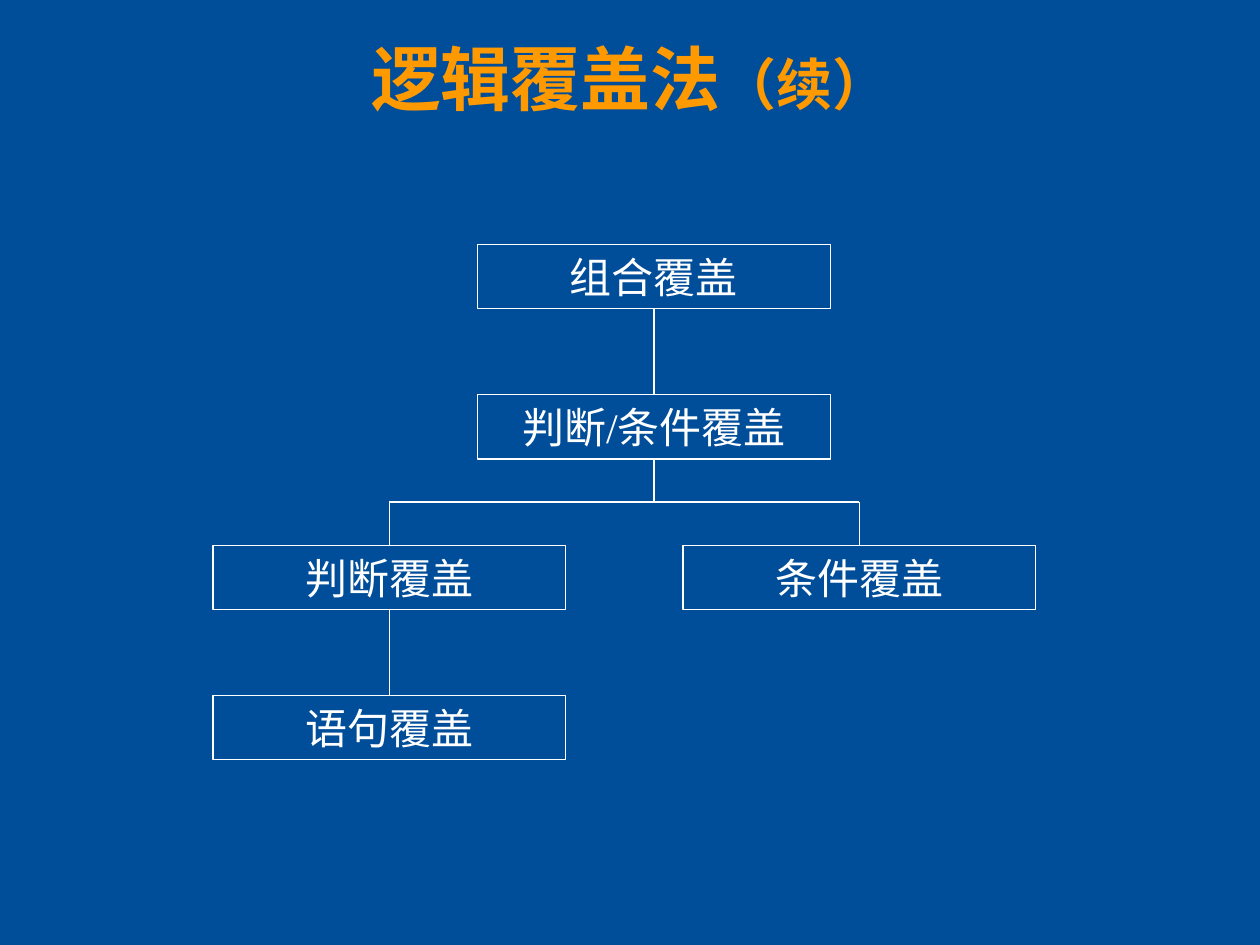
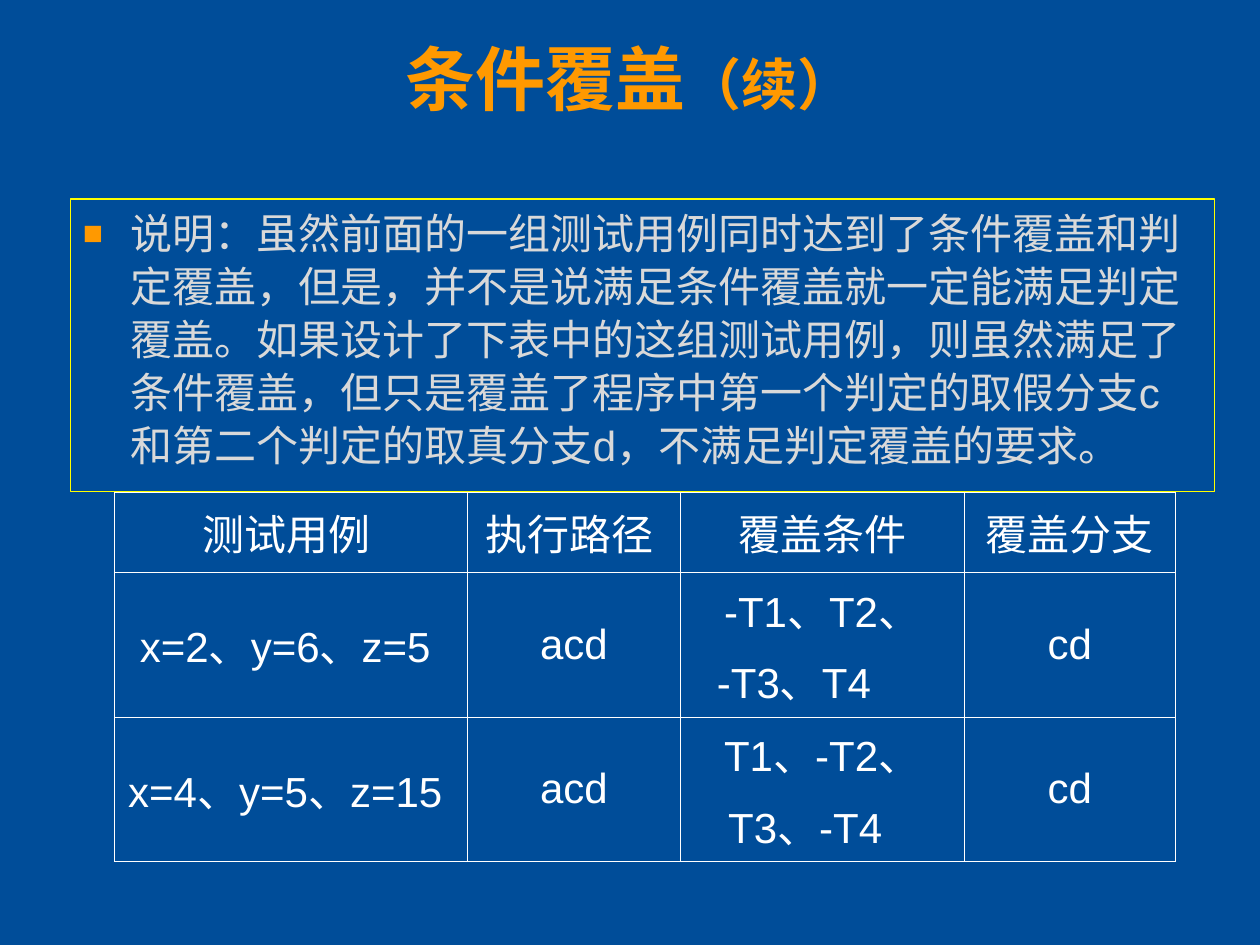
from dataclasses import dataclass

from lxml import etree
from pptx import Presentation
from pptx.dml.color import RGBColor
from pptx.enum.lang import MSO_LANGUAGE_ID
from pptx.enum.shapes import MSO_CONNECTOR, MSO_SHAPE
from pptx.enum.text import MSO_ANCHOR, PP_ALIGN
from pptx.oxml.ns import qn
from pptx.util import Inches, Pt

RECT = MSO_SHAPE.RECTANGLE
LINE = MSO_CONNECTOR.STRAIGHT
MID, TOP = MSO_ANCHOR.MIDDLE, MSO_ANCHOR.TOP
MITTE, LEFT = PP_ALIGN.CENTER, PP_ALIGN.LEFT
LANG = MSO_LANGUAGE_ID.SIMPLIFIED_CHINESE


@dataclass(frozen=True)
class Theme:
    """Colours, fonts, type sizes and line widths of the deck."""
    back: str = "004D99"
    head: str = "FF9900"
    ink: str = "FFFFFF"
    pale: str = "D9D9D9"
    frame: str = "FFFF00"
    sans: str = "Arial"
    serif: str = "Times New Roman"
    big: int = 40
    mid: int = 32
    text: int = 24
    line: float = 0.75
    thin: float = 0.45
    thick: float = 1.08


T = Theme()
HEAD = {"name": T.sans, "color": T.head, "bold": True}
NODE = {"name": T.serif, "color": T.ink, "size": T.text}
BODY = {"name": T.sans, "color": T.pale, "size": T.text}
CELL = {"name": T.sans, "color": T.ink, "size": T.text}

WIDE, TALL = 2.8, 0.51
ROW_TOP, ROW_STEP = 1.94, 3.58 / 3
COL_X = {"left": 1.69, "mid": 3.79, "right": 5.42}
NODES = {
    "组合覆盖": ("mid", 0),
    "判断/条件覆盖": ("mid", 1),
    "判断覆盖": ("left", 2),
    "条件覆盖": ("right", 2),
    "语句覆盖": ("left", 3),
}
LINKS = [("组合覆盖", "判断/条件覆盖"), ("判断覆盖", "语句覆盖")]

NOTE = (
    "说明：虽然前面的一组测试用例同时达到了条件覆盖和判定覆盖，但是，"
    "并不是说满足条件覆盖就一定能满足判定覆盖。如果设计了下表中的这组测试用例，"
    "则虽然满足了条件覆盖，但只是覆盖了程序中第一个判定的取假分支c "
    "和第二个判定的取真分支d，不满足判定覆盖的要求。"
)
COLS = [2.8, 1.69, 2.25, 1.68]
ROWS = [0.63, 1.15, 1.15]
CASES = [
    ["测试用例 ", "执行路径 ", "覆盖条件", "覆盖分支"],
    ["x=2、y=6、z=5 ", "acd", "-T1、T2、\n-T3、T4", "cd"],
    ["x=4、y=5、z=15 ", "acd", "T1、-T2、\nT3、-T4", "cd"],
]
INDENT = [0, 0.19, 0.28]


def style(run, form):
    """Apply a dict of font values to a run."""
    for key, val in {"language_id": LANG, **form}.items():
        if key == "color":
            run.font.color.rgb = RGBColor.from_string(val)
        else:
            setattr(run.font, key, Pt(val) if key == "size" else val)


def write(para, text, form, **layout):
    """Add a styled run and set paragraph values."""
    run = para.add_run()
    run.text = text
    style(run, form)
    for key, val in layout.items():
        setattr(para, key, val)


def setup(frame, anchor, side=0.1):
    """Set wrap, anchor and margins of a text frame."""
    values = {
        "word_wrap": True, "vertical_anchor": anchor,
        "margin_left": Inches(side), "margin_right": Inches(side),
        "margin_top": Inches(0.05), "margin_bottom": Inches(0.05),
    }
    for key, val in values.items():
        setattr(frame, key, val)


def indent(para, left, first=0):
    """Set the left margin and first-line indent in inches."""
    props = para._p.get_or_add_pPr()
    props.set("marL", str(Inches(left)))
    props.set("indent", str(Inches(first)))
    return props


def bullet(para):
    """Give a paragraph a hanging square bullet."""
    props = indent(para, 0.38, -0.38)
    tint = etree.SubElement(props, qn("a:buClr"))
    etree.SubElement(tint, qn("a:srgbClr"), val=T.head)
    etree.SubElement(props, qn("a:buSzPct"), val="80000")
    etree.SubElement(props, qn("a:buFont"), typeface=T.sans)
    etree.SubElement(props, qn("a:buChar"), char="■")


def title(slide, text):
    """Add the slide title with its smaller suffix."""
    box = slide.shapes.add_textbox(*map(Inches, (0.25, 0.29, 9.5, 0.75)))
    setup(box.text_frame, MID, 0.04)
    para = box.text_frame.paragraphs[0]
    write(para, text, {**HEAD, "size": T.big}, alignment=MITTE, line_spacing=0.85)
    write(para, "（续）", {**HEAD, "size": T.mid})


def stroke(shape, color):
    """Set the outline of a shape or connector."""
    shape.line.color.rgb = RGBColor.from_string(color)
    shape.line.width = Pt(T.line)


def panel(slide, place, color, anchor):
    """Add an unfilled outlined rectangle ready for text."""
    shape = slide.shapes.add_shape(RECT, *map(Inches, place))
    shape.shadow.inherit = False
    shape.fill.background()
    stroke(shape, color)
    setup(shape.text_frame, anchor)
    return shape


def node(slide, text, col, row):
    """Add a tree box at a grid column and row."""
    place = (COL_X[col], ROW_TOP + row * ROW_STEP, WIDE, TALL)
    shape = panel(slide, place, T.ink, MID)
    write(shape.text_frame.paragraphs[0], text, NODE, alignment=MITTE)
    return shape


def port(shape, side):
    """Return the middle of the top (0) or bottom (2) side."""
    return shape.left + shape.width // 2, shape.top + shape.height * side // 2


def link(slide, start, end, above=None, below=None):
    """Draw a line and join it to the boxes at its ends."""
    line = slide.shapes.add_connector(LINE, *start, *end)
    stroke(line, T.ink)
    etree.SubElement(line._element.spPr, qn("a:effectLst"))
    if above is not None:
        line.begin_connect(above, 2)
    if below is not None:
        line.end_connect(below, 0)


def fork(slide, root, kids):
    """Join a box to its children through a level bar."""
    x, foot = port(root, 2)
    tops = [port(kid, 0) for kid in kids]
    bar = (foot + tops[0][1]) // 2
    link(slide, (x, foot), (x, bar), above=root)
    link(slide, (tops[0][0], bar), (tops[-1][0], bar))
    for kid, spot in zip(kids, tops):
        link(slide, (spot[0], bar), spot, below=kid)


def tree(slide):
    """Build the coverage hierarchy."""
    boxes = {text: node(slide, text, *spot) for text, spot in NODES.items()}
    for upper, lower in LINKS:
        up, low = boxes[upper], boxes[lower]
        link(slide, port(up, 2), port(low, 0), up, low)
    fork(slide, boxes["判断/条件覆盖"], [boxes["判断覆盖"], boxes["条件覆盖"]])


def note(slide):
    """Add the framed explanation."""
    shape = panel(slide, (0.56, 1.58, 9.08, 2.32), T.frame, TOP)
    para = shape.text_frame.paragraphs[0]
    bullet(para)
    write(para, NOTE, BODY, alignment=LEFT, line_spacing=1.05)


def edges(cell, outer):
    """Draw cell borders, thick on the outer sides."""
    props = cell._tc.get_or_add_tcPr()
    for side in "LRTB":
        width = T.thick if side in outer else T.thin
        line = etree.SubElement(props, qn(f"a:ln{side}"), w=str(Pt(width)))
        fill = etree.SubElement(line, qn("a:solidFill"))
        etree.SubElement(fill, qn("a:srgbClr"), val=T.ink)


def fill(cell, text, left):
    """Write a cell, its second line set in from the left."""
    setup(cell, MID)
    frame = cell.text_frame
    for num, part in enumerate(text.split("\n")):
        if num:
            para = frame.add_paragraph()
            indent(para, left)
            write(para, part, CELL, alignment=LEFT, space_before=Pt(6))
        else:
            write(frame.paragraphs[0], part, CELL, alignment=MITTE)


def grid(slide):
    """Add the table of test cases."""
    place = map(Inches, (0.91, 3.91, sum(COLS), sum(ROWS)))
    table = slide.shapes.add_table(len(ROWS), len(COLS), *place).table
    table.first_row = table.horz_banding = False
    for col, width in zip(table.columns, COLS):
        col.width = Inches(width)
    for row, height in zip(table.rows, ROWS):
        row.height = Inches(height)
    for r, texts in enumerate(CASES):
        for c, text in enumerate(texts):
            cell = table.cell(r, c)
            outer = "L" * (c == 0) + "R" * (c == len(COLS) - 1) + "T" * (r == 0)
            edges(cell, outer)
            cell.fill.background()
            fill(cell, text, INDENT[r])


def main():
    """Build and save the deck."""
    prs = Presentation()
    prs.slide_width, prs.slide_height = Inches(10), Inches(7.5)
    back = prs.slide_master.background.fill
    back.solid()
    back.fore_color.rgb = RGBColor.from_string(T.back)
    for name, parts in (("逻辑覆盖法", [tree]), ("条件覆盖", [note, grid])):
        slide = prs.slides.add_slide(prs.slide_layouts[6])
        title(slide, name)
        for part in parts:
            part(slide)
    prs.save("out.pptx")


if __name__ == "__main__":
    main()
